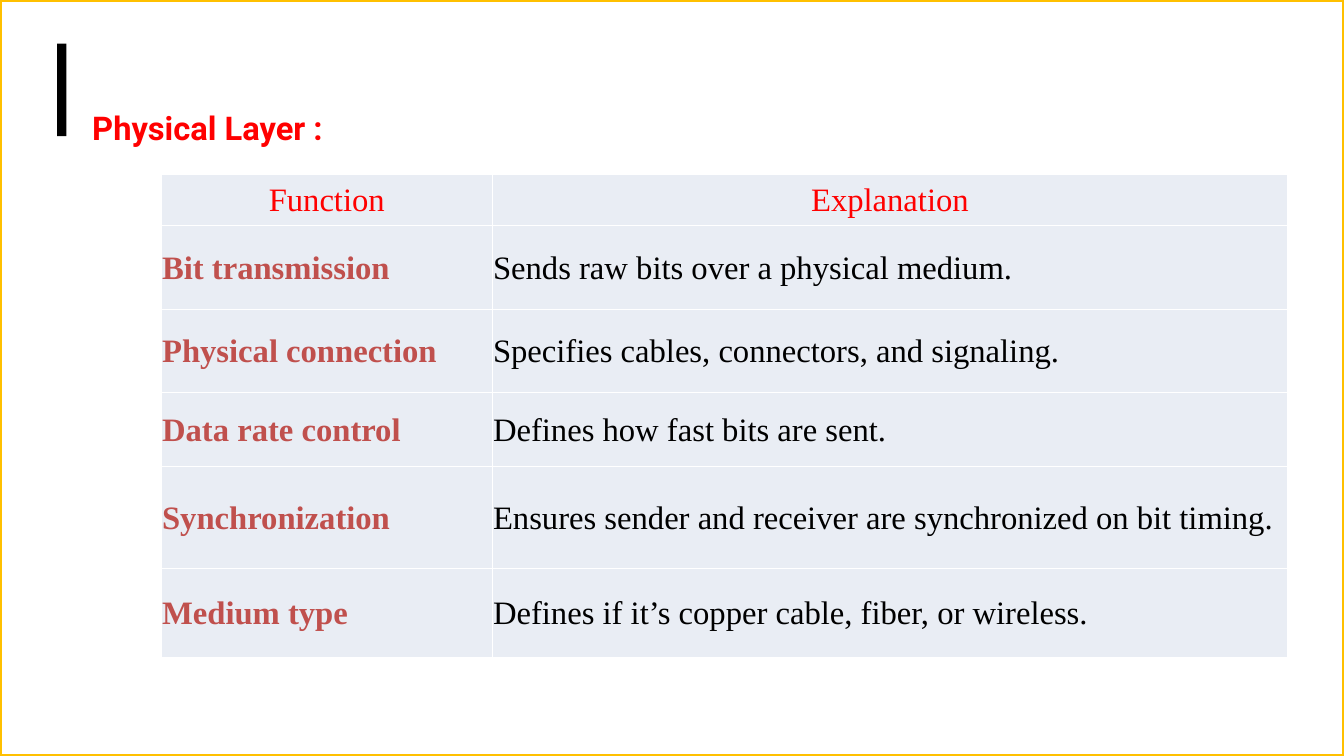
from lxml import etree
from pptx import Presentation
from pptx.dml.color import RGBColor
from pptx.enum.shapes import MSO_SHAPE
from pptx.enum.text import MSO_ANCHOR, PP_ALIGN
from pptx.oxml import parse_xml
from pptx.oxml.ns import qn
from pptx.util import Inches, Pt

RECTANGLE = MSO_SHAPE.RECTANGLE
MIDDLE = MSO_ANCHOR.MIDDLE
LEFT, CENTER, JUSTIFY = PP_ALIGN.LEFT, PP_ALIGN.CENTER, PP_ALIGN.JUSTIFY

WIDTH, HEIGHT = Inches(16), Inches(9)
COLUMN, ROW = WIDTH / 16, HEIGHT / 9
MAIN_NS = "http://schemas.openxmlformats.org/drawingml/2006/main"

RED, BRICK, BLACK, WHITE = "FF0000", "C0504D", "000000", "FFFFFF"
AMBER, PALE = "FFC000", "E9EDF4"

COLUMN_WIDTHS = [3.94, 9.47]
ROW_HEIGHTS = [0.6, 1.01, 0.98, 0.89, 1.21, 1.06]
HEADINGS = ("Function", "Explanation")
FUNCTIONS = [
    ("Bit transmission", "Sends raw bits over a physical medium."),
    ("Physical connection", "Specifies cables, connectors, and signaling."),
    ("Data rate control", "Defines how fast bits are sent."),
    ("Synchronization", "Ensures sender and receiver are synchronized on bit timing."),
    ("Medium type", "Defines if it’s copper cable, fiber, or wireless."),
]


def color(value):
    return RGBColor.from_string(value)


def place(left, top, width, height):
    return [round(length) for length in
            (left * COLUMN, top * ROW, width * COLUMN, height * ROW)]


def write(frame, text, font="Times New Roman", size=28, ink=BLACK,
          bold=False, align=LEFT, spacing=1.0):
    para = frame.paragraphs[0]
    para.alignment = align
    para.line_spacing = spacing
    span = para.add_run()
    span.text = text
    span.font.name = font
    span.font.size = Pt(size)
    span.font.bold = bold
    span.font.color.rgb = color(ink)


def add_rectangle(page, area, fill, line=None, weight=0, opacity=100):
    box = page.shapes.add_shape(RECTANGLE, *place(*area))
    box.shadow.inherit = False
    box.fill.solid()
    box.fill.fore_color.rgb = color(fill)
    if opacity < 100:
        tint = box.fill._xPr.find(qn("a:solidFill"))[0]
        etree.SubElement(tint, qn("a:alpha"), val=str(opacity * 1000))
    if line:
        box.line.color.rgb = color(line)
        box.line.width = Pt(weight)
    else:
        box.line.fill.background()


def add_title(page, area, text):
    box = page.shapes.add_textbox(*place(*area))
    box.text_frame.word_wrap = True
    write(box.text_frame, text, font="Roboto", ink=RED, bold=True,
          align=JUSTIFY, spacing=1.5)


def add_borders(cell, ink, weight):
    properties = cell._tc.get_or_add_tcPr()
    for side in ("lnL", "lnR", "lnT", "lnB"):
        properties.append(parse_xml(
            f'<a:{side} xmlns:a="{MAIN_NS}" w="{Pt(weight)}"><a:solidFill>'
            f'<a:srgbClr val="{ink}"/></a:solidFill></a:{side}>'))


def fill_cell(cell, text, **text_format):
    add_borders(cell, WHITE, 1)
    cell.fill.solid()
    cell.fill.fore_color.rgb = color(PALE)
    cell.vertical_anchor = MIDDLE
    cell.margin_left = cell.margin_right = cell.margin_top = Inches(0.01)
    cell.margin_bottom = 0
    write(cell.text_frame, text, **text_format)


def add_function_table(page, left, top):
    area = place(left, top, sum(COLUMN_WIDTHS), sum(ROW_HEIGHTS))
    table = page.shapes.add_table(
        len(ROW_HEIGHTS), len(COLUMN_WIDTHS), *area).table
    for column, width in zip(table.columns, COLUMN_WIDTHS):
        column.width = round(width * COLUMN)
    for row, height in zip(table.rows, ROW_HEIGHTS):
        row.height = round(height * ROW)
    for index, heading in enumerate(HEADINGS):
        fill_cell(table.cell(0, index), heading, ink=RED, align=CENTER)
    for index, (function, explanation) in enumerate(FUNCTIONS, start=1):
        fill_cell(table.cell(index, 0), function, ink=BRICK, bold=True)
        fill_cell(table.cell(index, 1), explanation)


def main():
    deck = Presentation()
    deck.slide_width, deck.slide_height = WIDTH, HEIGHT
    page = deck.slides.add_slide(deck.slide_layouts[6])
    add_rectangle(page, (0, 0, 16, 9), WHITE, line=AMBER, weight=3, opacity=49)
    add_rectangle(page, (0.68, 0.52, 0.11, 1.1), BLACK)
    add_title(page, (1, 1, 14, 1.44), "Physical Layer :")
    add_function_table(page, 1.92, 2.08)
    deck.save("out.pptx")


if __name__ == "__main__":
    main()
